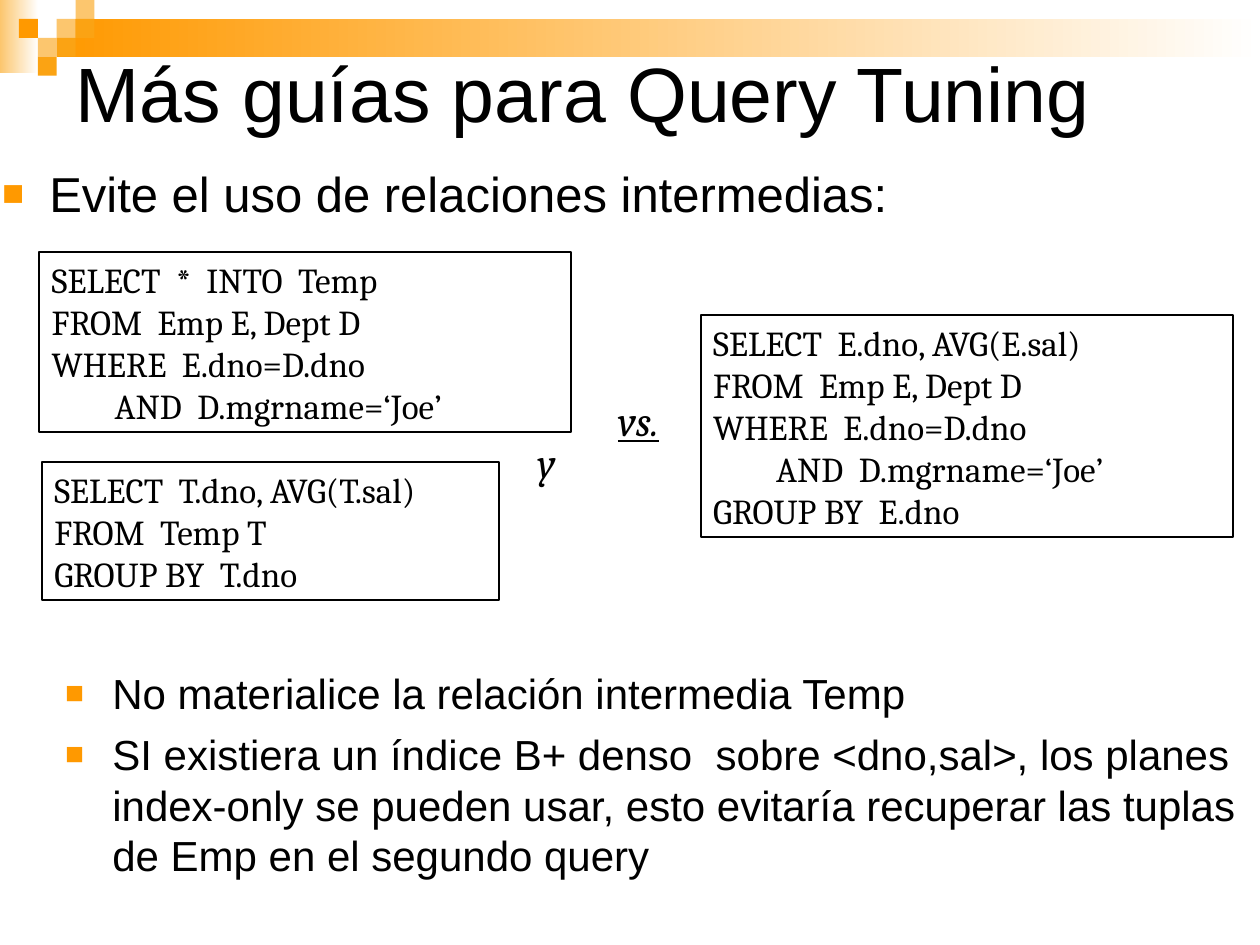
from dataclasses import dataclass

from lxml import etree
from pptx import Presentation
from pptx.dml.color import RGBColor
from pptx.enum import shapes, text
from pptx.oxml import ns
from pptx.util import Pt

COLORS = {"ink": "000000", "white": "FFFFFF", "orange": "FF9900",
          "amber": "FBA313", "pale": "FCC66E"}
TILE = 10.8


@dataclass
class Frame:
    left: float
    top: float
    width: float
    height: float

    def lengths(self) -> list:
        return [Pt(n) for n in (self.left, self.top, self.width, self.height)]


@dataclass
class Style:
    font: str
    size: float
    italic: bool = False
    underline: bool = False


@dataclass
class Query:
    frame: Frame
    lines: list[str]


@dataclass
class Tile:
    column: int
    row: int
    color: str


CODE = Style("Cambria", 20)
JOIN = ["FROM  Emp E, Dept D", "WHERE  E.dno=D.dno", "\tAND  D.mgrname=‘Joe’"]
QUERIES = [
    Query(Frame(22.5, 144, 304, 103), ["SELECT  *  INTO  Temp", *JOIN]),
    Query(Frame(24, 264, 261, 79),
          ["SELECT  T.dno, AVG(T.sal)", "FROM  Temp T", "GROUP BY  T.dno"]),
    Query(Frame(400.5, 180, 304, 127),
          ["SELECT  E.dno, AVG(E.sal)", *JOIN, "GROUP BY  E.dno"]),
]
TILES = [
    Tile(3, 1, "pale"), Tile(4, 0, "pale"), Tile(4, 1, "amber"),
    Tile(2, 2, "pale"), Tile(1, 1, "orange"), Tile(3, 2, "amber"),
    Tile(2, 3, "amber"),
]


def rgb(name: str) -> RGBColor:
    return RGBColor.from_string(COLORS[name])


def add_rectangle(page, frame: Frame):
    box = page.shapes.add_shape(shapes.MSO_SHAPE.RECTANGLE, *frame.lengths())
    box.shadow.inherit = False
    box.line.fill.background()
    return box


def add_fading_band(page, frame: Frame, color: str) -> None:
    """Draw a band that fades to white on its right."""
    fill = add_rectangle(page, frame).fill
    fill.gradient()
    fill.gradient_angle = 180
    for stop, name in zip(fill.gradient_stops, ("white", color)):
        stop.color.rgb = rgb(name)


def add_tile(page, tile: Tile) -> None:
    frame = Frame(tile.column * TILE, tile.row * TILE, TILE, TILE)
    fill = add_rectangle(page, frame).fill
    fill.solid()
    fill.fore_color.rgb = rgb(tile.color)


def write(box, lines: list[str], style: Style,
          anchor=text.MSO_ANCHOR.TOP) -> list:
    """Fill a box with one paragraph per line and return the paragraphs."""
    frame = box.text_frame
    frame.word_wrap = True
    frame.auto_size = text.MSO_AUTO_SIZE.NONE
    frame.vertical_anchor = anchor
    for _ in lines[1:]:
        frame.add_paragraph()
    for para, line in zip(frame.paragraphs, lines):
        para.alignment = text.PP_ALIGN.LEFT
        span = para.add_run()
        span.text = line
        span.font.name = style.font
        span.font.size = Pt(style.size)
        span.font.italic = style.italic
        span.font.underline = style.underline
        span.font.color.rgb = rgb("ink")
    return list(frame.paragraphs)


def place(box, frame: Frame) -> None:
    box.left, box.top, box.width, box.height = frame.lengths()


def add_bullet(para, before: float) -> None:
    para.space_before = Pt(before)
    props = para._p.get_or_add_pPr()
    props.set("marL", str(Pt(27)))
    props.set("indent", str(-Pt(27)))
    color = etree.SubElement(props, ns.qn("a:buClr"))
    etree.SubElement(color, ns.qn("a:srgbClr"), val=COLORS["orange"])
    etree.SubElement(props, ns.qn("a:buSzPct"), val="75000")
    etree.SubElement(props, ns.qn("a:buFont"), typeface="Arial")
    etree.SubElement(props, ns.qn("a:buChar"), char="■")


def fill_list(box, frame: Frame, lines: list[str], size: float,
              before: float) -> None:
    place(box, frame)
    for para in write(box, lines, Style("Arial", size)):
        add_bullet(para, before)


def add_query(page, query: Query) -> None:
    box = add_rectangle(page, query.frame)
    box.fill.background()
    box.line.color.rgb = rgb("ink")
    box.line.width = Pt(1)
    write(box, query.lines, CODE)


def add_label(page, frame: Frame, words: str, underline: bool) -> None:
    box = page.shapes.add_textbox(*frame.lengths())
    write(box, [words], Style("Cambria", 24, True, underline))


def main() -> None:
    deck = Presentation()
    deck.slide_width, deck.slide_height = Pt(720), Pt(540)
    page = deck.slides.add_slide(deck.slide_layouts.get_by_name("Two Content"))
    title, topic, advice = page.placeholders

    add_fading_band(page, Frame(0, 0, 22, 42), "pale")
    add_fading_band(page, Frame(3 * TILE, TILE, 687.6, 2 * TILE), "orange")
    for tile in TILES:
        add_tile(page, tile)

    place(title, Frame(36, 27, 648, 51))
    write(title, ["Más guías para Query Tuning"], Style("Arial", 44),
          text.MSO_ANCHOR.MIDDLE)
    fill_list(topic, Frame(-6, 90, 708, 42),
              ["Evite el uso de relaciones intermedias:"], 28, 7)
    fill_list(advice, Frame(30, 378, 690, 138), [
        "No materialice la relación intermedia Temp",
        "SI existiera un índice B+ denso  sobre <dno,sal>, los planes "
        "index-only se pueden usar, esto evitaría recuperar las tuplas "
        "de Emp en el segundo query",
    ], 24, 6)

    for query in QUERIES:
        add_query(page, query)
    add_label(page, Frame(346, 222, 57, 36), "vs.", True)
    add_label(page, Frame(300, 246, 31, 36), "y", False)
    deck.save("out.pptx")


if __name__ == "__main__":
    main()
